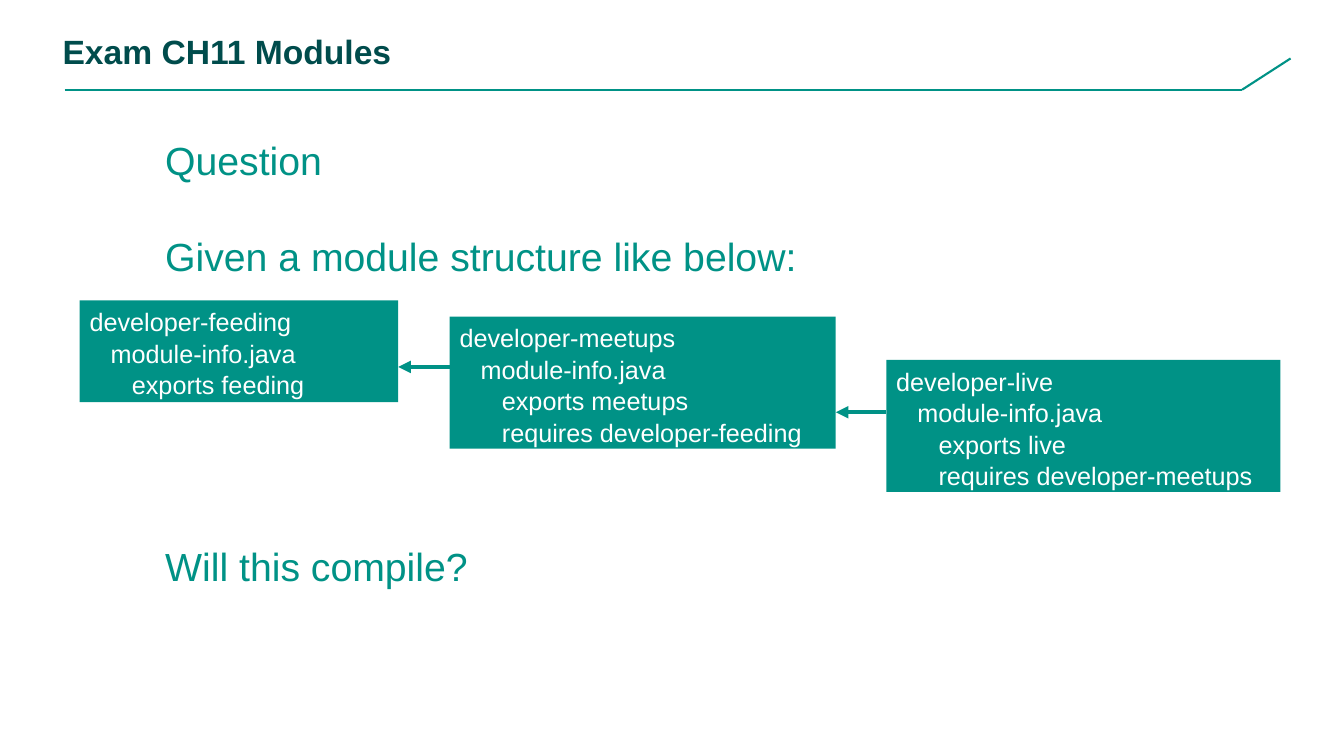
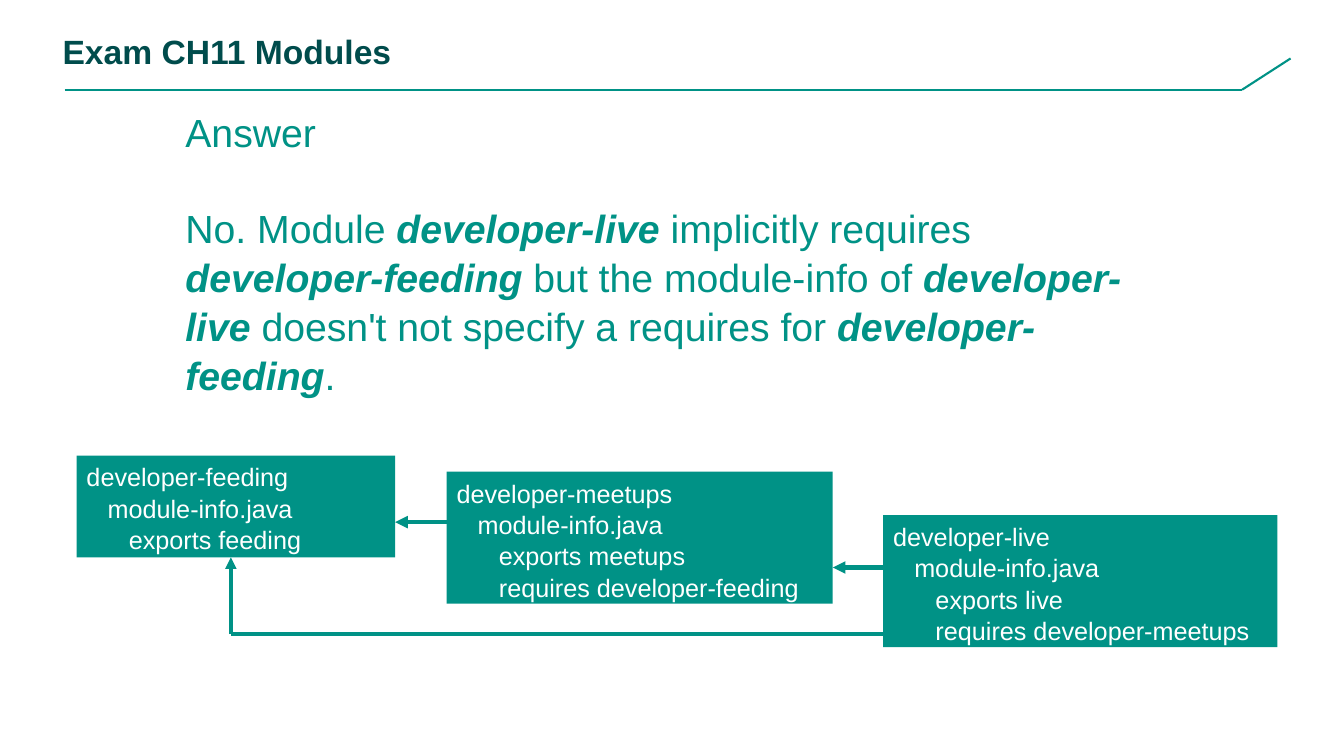
from pptx import Presentation
from pptx.dml.color import RGBColor
from pptx.enum.shapes import MSO_CONNECTOR, MSO_SHAPE
from pptx.enum.text import MSO_ANCHOR, MSO_AUTO_SIZE, PP_ALIGN
from pptx.oxml.ns import qn
from pptx.util import Inches, Pt
from lxml import etree

COLORS = {k: RGBColor.from_string(v) for k, v in
          {"teal": "009286", "title": "004C4C", "white": "FFFFFF"}.items()}
FONT = "Arial"
LEADING = 1.04
INDENT = 0.21  # one level in a module box

# Modules: x and y offset, width, height, lines as (level, text)
MODULES = [
    (0, 0, 3.16, 1.01, [(0, "developer-feeding"), (1, "module-info.java"),
                        (2, "exports feeding")]),
    (3.67, 0.16, 3.83, 1.31, [(0, "developer-meetups"), (1, "module-info.java"),
                              (2, "exports meetups"), (2, "requires developer-feeding")]),
    (8, 0.59, 3.91, 1.31, [(0, "developer-live"), (1, "module-info.java"),
                           (2, "exports live"), (2, "requires developer-meetups")]),
]
# Dependency lines: x1, y1, x2, y2, width, arrowhead
REQUIRES = [(8, 1.11, 7.5, 1.11, 3, True), (3.67, 0.66, 3.16, 0.66, 3, True)]
IMPLICIT = [(8, 1.77, 1.53, 1.77, 3.25, False), (1.53, 1.77, 1.53, 1.01, 2.75, True)]

# Slides: text boxes (x, y, height, paragraphs of (text, emphasised) runs),
# diagram origin, dependency lines
SLIDES = [
    ([(1.54, 1.28, 1.51, [[("Question", False)],
                          [("Given a module structure like below:", False)]]),
      (1.54, 5.31, 0.57, [[("Will this compile?", False)]])],
     (0.79, 2.98), REQUIRES),
    ([(1.74, 1.01, 2.93, [[("Answer", False)],
                          [("No. Module ", False), ("developer-live ", True),
                           ("implicitly requires ", False), ("developer-feeding", True),
                           (" but the module-info of ", False), ("developer-live ", True),
                           ("doesn't not specify a requires for ", False),
                           ("developer-feeding", True), (".", False)]])],
     (0.76, 4.52), REQUIRES + IMPLICIT),
]


def add_line(s, x1, y1, x2, y2, width, arrow=False):
    c = s.shapes.add_connector(MSO_CONNECTOR.STRAIGHT, Inches(x1), Inches(y1),
                               Inches(x2), Inches(y2))
    c.line.color.rgb = COLORS["teal"]
    c.line.width = Pt(width)
    if arrow:
        etree.SubElement(c.line._get_or_add_ln(), qn("a:tailEnd"), type="triangle")
    etree.SubElement(c._element.spPr, qn("a:effectLst"))


def set_font(font, size, color, bold=False, italic=False):
    font.name, font.size, font.color.rgb = FONT, Pt(size), COLORS[color]
    font.bold, font.italic = bold, italic


prs = Presentation()
prs.slide_width, prs.slide_height = Inches(13.33), Inches(7.5)

for texts, (x0, y0), lines in SLIDES:
    s = prs.slides.add_slide(prs.slide_layouts[5])

    # Title and its rule
    add_line(s, 0.64, 0.89, 12.32, 0.89, 1.5)
    add_line(s, 12.32, 0.89, 12.8, 0.58, 1.5)
    title = s.shapes.title
    title.left, title.top = Inches(0.52), Inches(0.21)
    title.width, title.height = Inches(13), Inches(0.55)
    tf = title.text_frame
    tf.text = "Exam CH11 Modules"
    tf.auto_size = MSO_AUTO_SIZE.NONE
    tf.vertical_anchor = MSO_ANCHOR.BOTTOM
    p = tf.paragraphs[0]
    p.alignment = PP_ALIGN.LEFT
    p.line_spacing = Pt(18.8)
    set_font(p.runs[0].font, 24, "title", bold=True)

    # Question and answer text
    for x, y, h, paragraphs in texts:
        tf = s.shapes.add_textbox(Inches(x), Inches(y), Inches(9.85), Inches(h)).text_frame
        tf.word_wrap = True
        for i, runs in enumerate(paragraphs):
            p = tf.add_paragraph() if i else tf.paragraphs[0]
            p.line_spacing = LEADING
            if i:
                p.space_before = Pt(33.6)
            for text, strong in runs:
                r = p.add_run()
                r.text = text
                set_font(r.font, 28, "teal", strong, strong)

    # Module boxes
    for dx, dy, w, h, rows in MODULES:
        sp = s.shapes.add_shape(MSO_SHAPE.RECTANGLE, Inches(x0 + dx), Inches(y0 + dy),
                                Inches(w), Inches(h))
        sp.shadow.inherit = False
        sp.fill.solid()
        sp.fill.fore_color.rgb = COLORS["teal"]
        sp.line.fill.background()
        tf = sp.text_frame
        tf.word_wrap = True
        tf.vertical_anchor = MSO_ANCHOR.TOP
        tf.text = "\n".join(text for _, text in rows)
        for p, (level, _) in zip(tf.paragraphs, rows):
            p._p.get_or_add_pPr().set("marL", str(Inches(INDENT * level)))
            p.alignment = PP_ALIGN.LEFT
            p.line_spacing = LEADING
            set_font(p.runs[0].font, 18, "white")

    # Dependencies between modules
    for x1, y1, x2, y2, width, arrow in lines:
        add_line(s, x0 + x1, y0 + y1, x0 + x2, y0 + y2, width, arrow)

prs.save("out.pptx")
